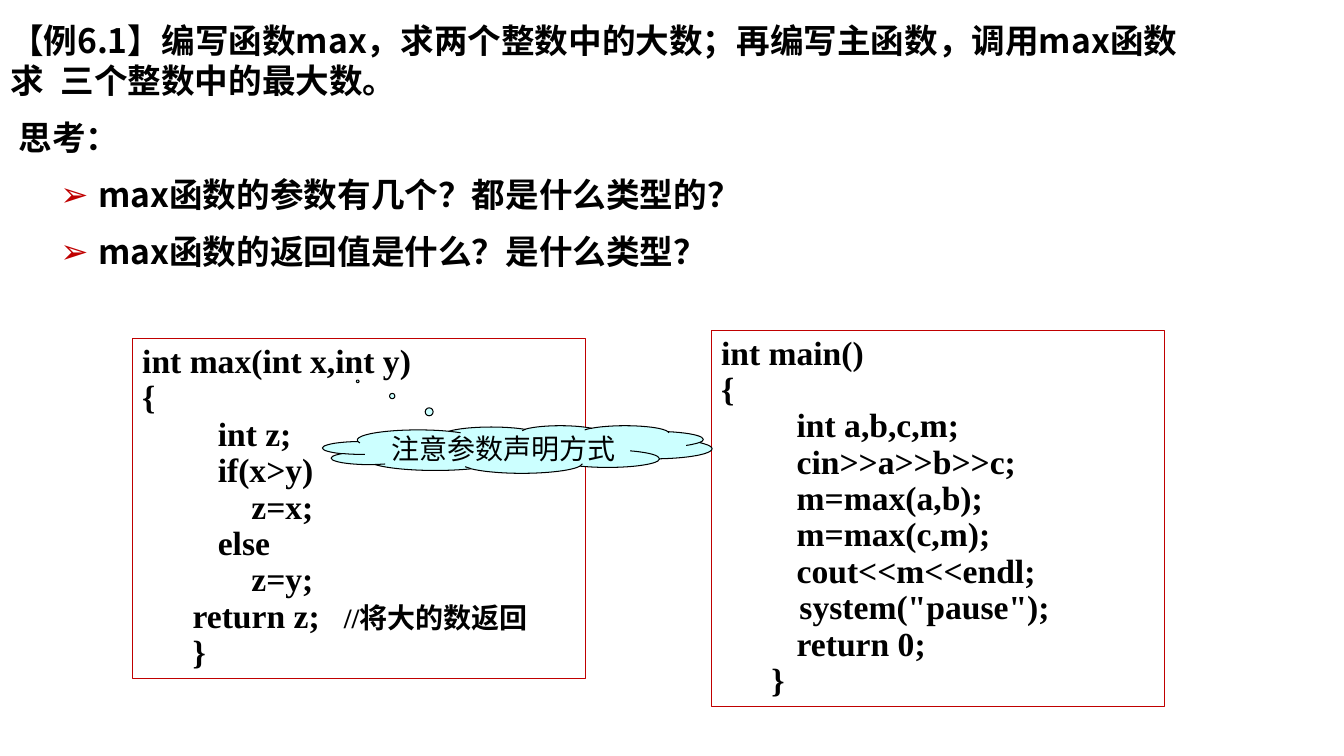
from lxml import etree
from pptx import Presentation
from pptx.dml.color import RGBColor
from pptx.enum import shapes, text
from pptx.oxml.ns import qn
from pptx.util import Pt

SANS, SERIF = "Noto Sans CJK SC", "Times New Roman"
RED, BLACK, PALE_CYAN = "C00000", "000000", "CCFFFF"


def add_run(paragraph, words, font, size=24, bold=True):
    run = paragraph.add_run()
    run.text = words
    run.font.name, run.font.size, run.font.bold = font, Pt(size), bold
    run.font.color.rgb = RGBColor.from_string(BLACK)
    etree.SubElement(run.font._element, qn("a:ea"), typeface=SANS)


def format_paragraph(paragraph, pitch, left=0, hanging=0, bullet=None, tabs=()):
    """Set exact line pitch, indents, bullet and tab stops, all in points."""
    paragraph.line_spacing = Pt(pitch)
    props = paragraph._p.get_or_add_pPr()
    props.set("marL", str(Pt(left)))
    props.set("indent", str(-Pt(hanging)))
    if bullet:
        colour = etree.SubElement(props, qn("a:buClr"))
        etree.SubElement(colour, qn("a:srgbClr"), val=RED)
        etree.SubElement(props, qn("a:buChar"), char=bullet)
    else:
        etree.SubElement(props, qn("a:buNone"))
    if tabs:
        stops = etree.SubElement(props, qn("a:tabLst"))
        for stop in tabs:
            etree.SubElement(stops, qn("a:tab"), pos=str(Pt(stop)), algn="l")


deck = Presentation()
deck.slide_width, deck.slide_height = Pt(960), Pt(540)
slide = deck.slides.add_slide(deck.slide_layouts[1])
title = slide.shapes.title
title._element.getparent().remove(title._element)

# Task and questions
task = slide.placeholders[1]
task.left, task.top, task.width, task.height = Pt(0), Pt(10.5), Pt(857), Pt(196)
task.text_frame.auto_size = text.MSO_AUTO_SIZE.NONE
task.text_frame.word_wrap = True
task_lines = [
    ("【例6.1】编写函数max，求两个整数中的大数；再编写主函数，调用max函数求\t三个整数中的最大数。",
     dict(tabs=[160.5])),
    ("思考：", dict(left=6)),
    ("max函数的参数有几个？都是什么类型的？", dict(left=63, hanging=27, bullet="➢")),
    ("max函数的返回值是什么？是什么类型？", dict(left=63, hanging=27, bullet="➢")),
]
for number, (words, layout) in enumerate(task_lines):
    line = task.text_frame.paragraphs[0] if number == 0 else task.text_frame.add_paragraph()
    line.level = 1 if "bullet" in layout else 0
    line.space_before = Pt(12 if number else 0)
    format_paragraph(line, 28.8, **layout)
    add_run(line, words, SANS)

# Code listings: each line is (left indent, code)
BRACE, BODY, NESTED = 36, 54, 78
max_code = [
    (0, "int max(int x,int y)"), (0, "{"), (BODY, "int z;"), (BODY, "if(x>y)"),
    (NESTED, "z=x;"), (BODY, "else"), (NESTED, "z=y;"),
    (0, "\treturn z;\t//将大的数返回"), (BRACE, "}"),
]
main_code = [
    (0, "int main()"), (0, "{"), (BODY, "int a,b,c,m;"), (BODY, "cin>>a>>b>>c;"),
    (BODY, "m=max(a,b);"), (BODY, "m=max(c,m);"), (BODY, "cout<<m<<endl;"),
    (BODY + 2, 'system("pause");'), (BODY, "return 0;"), (BRACE, "}"),
]
for left, top, width, height, code in [
    (94.5, 242, 323.5, 242.5, max_code),
    (508, 236, 324, 269, main_code),
]:
    listing = slide.shapes.add_shape(
        shapes.MSO_SHAPE.RECTANGLE, Pt(left), Pt(top), Pt(width), Pt(height))
    listing.shadow.inherit = False
    listing.fill.background()
    listing.line.color.rgb = RGBColor.from_string(RED)
    listing.line.width = Pt(0.75)
    frame = listing.text_frame
    frame.word_wrap = True
    frame.vertical_anchor = text.MSO_ANCHOR.TOP
    for number, (indent, statement) in enumerate(code):
        line = frame.paragraphs[0] if number == 0 else frame.add_paragraph()
        line.alignment = text.PP_ALIGN.LEFT
        format_paragraph(line, 26, indent, tabs=[BODY, 163] if "\t" in statement else ())
        statement, slashes, comment = statement.partition("//")
        add_run(line, statement, SERIF)
        if comment:
            add_run(line, slashes + comment, SERIF, size=20)

# Remark on the parameter declaration
remark = slide.shapes.add_shape(
    shapes.MSO_SHAPE.CLOUD_CALLOUT, Pt(230.5), Pt(304), Pt(278), Pt(34))
remark.adjustments[0], remark.adjustments[1] = -0.41, -1.43
remark.shadow.inherit = False
remark.fill.solid()
remark.fill.fore_color.rgb = RGBColor.from_string(PALE_CYAN)
remark.line.color.rgb = RGBColor.from_string(BLACK)
remark.line.width = Pt(0.75)
frame = remark.text_frame
frame.word_wrap = True
frame.margin_top = frame.margin_bottom = 0
frame.vertical_anchor = text.MSO_ANCHOR.MIDDLE
frame.paragraphs[0].alignment = text.PP_ALIGN.CENTER
add_run(frame.paragraphs[0], "注意参数声明方式", "Arial", size=20, bold=False)

deck.save("out.pptx")
